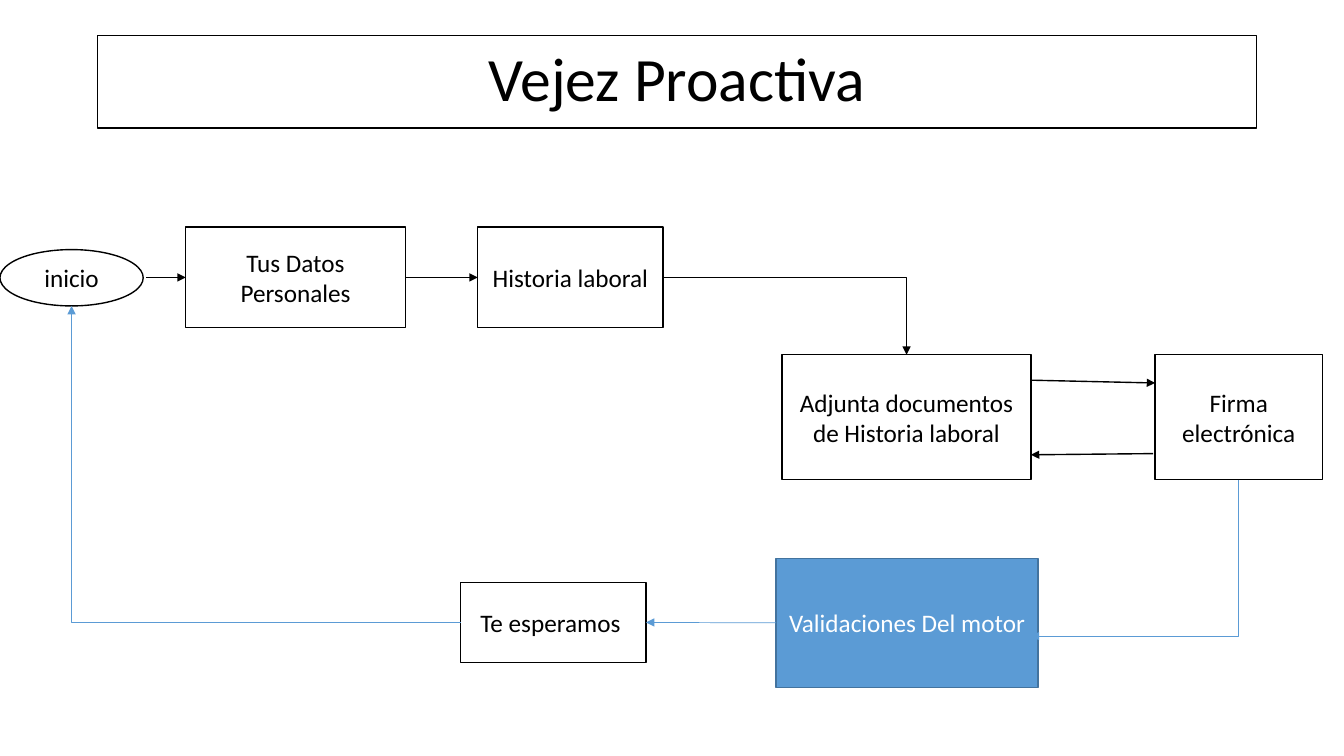
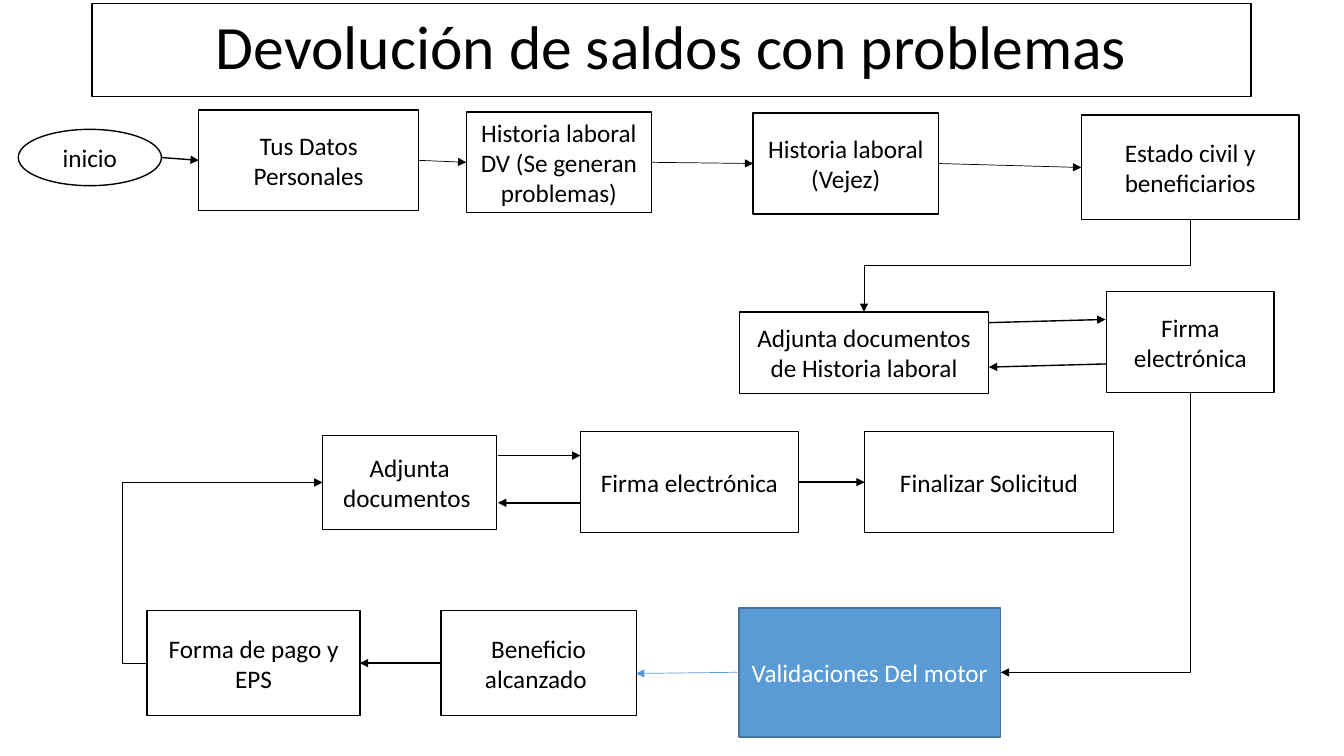
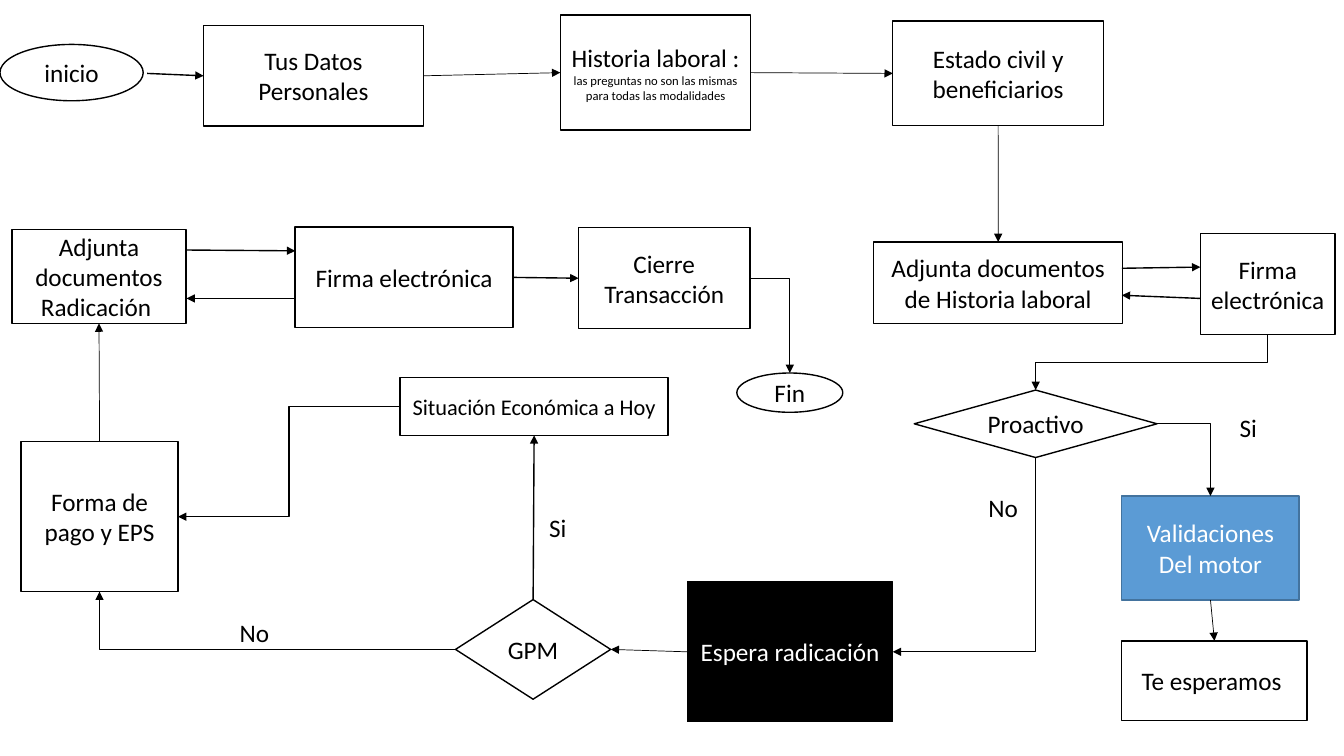
"""Builds three flowcharts of the pension request process."""
import enum

import lxml.etree
import pptx
import pptx.dml.color
import pptx.enum.shapes
import pptx.enum.text
import pptx.oxml.ns
import pptx.util

Cm = pptx.util.Cm
Pt = pptx.util.Pt
RGBColor = pptx.dml.color.RGBColor
Preset = pptx.enum.shapes.MSO_SHAPE
Connector = pptx.enum.shapes.MSO_CONNECTOR
qn = pptx.oxml.ns.qn

BLACK = RGBColor(0x00, 0x00, 0x00)
WHITE = RGBColor(0xFF, 0xFF, 0xFF)
BLUE = RGBColor(0x5B, 0x9B, 0xD5)
DARK_BLUE = RGBColor(0x43, 0x73, 0x9E)
FONT = "Calibri"
THIN = 0.5


class Side(enum.IntEnum):
    TOP = 0
    LEFT = 1
    BOTTOM = 2
    RIGHT = 3


TOP, LEFT, BOTTOM, RIGHT = Side


class Flowchart:
    def __init__(self):
        self.deck = pptx.Presentation()
        self.deck.slide_width = Cm(33.87)
        self.deck.slide_height = Cm(19.05)
        self.page = None

    def new_page(self):
        self.page = self.deck.slides.add_slide(self.deck.slide_layouts[6])

    def add_span(self, para, text, size, color):
        span = para.add_run()
        span.text = text
        span.font.name = FONT
        span.font.size = Pt(size)
        span.font.color.rgb = color

    def box(self, text, left, top, width, height, preset=Preset.RECTANGLE,
            fill=WHITE, line=BLACK, color=BLACK, size=18):
        box = self.page.shapes.add_shape(
            preset, Cm(left), Cm(top), Cm(width), Cm(height))
        box.shadow.inherit = False
        box.fill.solid()
        box.fill.fore_color.rgb = fill
        box.line.color.rgb = line
        box.line.width = Pt(1)
        frame = box.text_frame
        frame.word_wrap = True
        frame.vertical_anchor = pptx.enum.text.MSO_ANCHOR.MIDDLE
        para = frame.paragraphs[0]
        para.alignment = pptx.enum.text.PP_ALIGN.CENTER
        self.add_span(para, text, size, color)
        return box

    def title(self, text, left, top):
        box = self.box(text, left, top, 29.21, 2.34, size=44)
        box.text_frame.paragraphs[0].line_spacing = 0.9

    def start(self, left, top):
        return self.box("inicio", left, top, 3.61, 1.42, Preset.OVAL)

    def personal_data(self, left, top):
        return self.box("Tus Datos Personales", left, top, 5.54, 2.54)

    def work_documents(self, left, top, height=2.06):
        return self.box("Adjunta documentos de Historia laboral",
                        left, top, 6.27, height)

    def signature(self, left, top, width=5.49, height=2.54):
        return self.box("Firma electrónica", left, top, width, height)

    def waiting(self, left, top):
        return self.box("Te esperamos ", left, top, 4.67, 2.01)

    def engine(self, left, top, width=6.6, height=3.25):
        return self.box("Validaciones Del motor", left, top, width, height,
                        fill=BLUE, line=DARK_BLUE, color=WHITE)

    def label(self, text, left, top, width):
        box = self.page.shapes.add_textbox(
            Cm(left), Cm(top), Cm(width), Cm(1.03))
        box.text_frame.word_wrap = False
        self.add_span(box.text_frame.paragraphs[0], text, 18, BLACK)

    def finish(self, connector, color, width):
        connector.line.color.rgb = color
        connector.line.width = Pt(width)
        shape_properties = connector.element.spPr
        outline = shape_properties.find(qn("a:ln"))
        lxml.etree.SubElement(outline, qn("a:tailEnd"), type="triangle")
        lxml.etree.SubElement(shape_properties, qn("a:effectLst"))

    def arrow(self, x1, y1, x2, y2, color=BLACK, width=1):
        connector = self.page.shapes.add_connector(
            Connector.STRAIGHT, Cm(x1), Cm(y1), Cm(x2), Cm(y2))
        self.finish(connector, color, width)

    def site(self, box, side):
        middle = box.left + box.width // 2, box.top + box.height // 2
        return {TOP: (middle[0], box.top),
                LEFT: (box.left, middle[1]),
                BOTTOM: (middle[0], box.top + box.height),
                RIGHT: (box.left + box.width, middle[1])}[side]

    def attach(self, connector, tag, box, side):
        is_oval = box.auto_shape_type == Preset.OVAL
        index = side * 2 if is_oval else int(side)
        holder = connector.element.find(".//" + qn("p:cNvCxnSpPr"))
        lxml.etree.SubElement(holder, qn(tag), id=str(box.shape_id),
                              idx=str(index))

    def link(self, source, leaving, target, entering, bends=0, middle=None,
             color=BLACK, width=THIN, end=None):
        x1, y1 = self.site(source, leaving)
        x2, y2 = end or self.site(target, entering)
        upright = bends and leaving in (TOP, BOTTOM)
        if upright:
            center_x, center_y = (x1 + x2) // 2, (y1 + y2) // 2
            half_x, half_y = (x2 - x1) // 2, (y2 - y1) // 2
            x1, y1 = center_x - half_y, center_y + half_x
            x2, y2 = center_x + half_y, center_y - half_x
        kind = Connector.ELBOW if bends else Connector.STRAIGHT
        connector = self.page.shapes.add_connector(kind, x1, y1, x2, y2)
        if upright:
            connector.element.spPr.find(qn("a:xfrm")).set("rot", "5400000")
        geometry = connector.element.spPr.find(qn("a:prstGeom"))
        if bends == 1:
            geometry.set("prst", "bentConnector2")
        if middle is not None:
            lxml.etree.SubElement(
                geometry.find(qn("a:avLst")), qn("a:gd"), name="adj1",
                fmla=f"val {round(middle * 100000)}")
        self.attach(connector, "a:stCxn", source, leaving)
        if end is None:
            self.attach(connector, "a:endCxn", target, entering)
        self.finish(connector, color, width)

    def chain(self, *boxes, width=THIN):
        for source, target in zip(boxes, boxes[1:]):
            forward = target.left > source.left
            leaving, entering = (RIGHT, LEFT) if forward else (LEFT, RIGHT)
            self.link(source, leaving, target, entering, width=width)


def proactive_page(chart):
    chart.new_page()
    chart.title("Vejez Proactiva", 2.46, 0.89)
    start = chart.start(0, 6.29)
    personal = chart.personal_data(4.68, 5.72)
    history = chart.box("Historia laboral", 12.04, 5.72, 4.67, 2.54)
    documents = chart.work_documents(19.71, 8.94, 3.15)
    signature = chart.signature(29.11, 8.94, 4.22, 3.15)
    waiting = chart.waiting(11.61, 14.68)
    engine = chart.engine(19.56, 14.07)
    chart.arrow(3.68, 6.99, 4.68, 6.99)
    chart.chain(personal, history, width=1)
    chart.arrow(25.98, 9.58, 29.11, 9.65)
    chart.arrow(29.06, 11.43, 25.98, 11.46)
    chart.link(history, RIGHT, documents, TOP, bends=1)
    chart.link(engine, LEFT, waiting, RIGHT, color=BLUE)
    chart.link(signature, BOTTOM, engine, RIGHT, bends=1, color=BLUE,
               end=(Cm(25.98), Cm(16.03)))
    chart.link(waiting, LEFT, start, BOTTOM, bends=1, color=BLUE)


def refund_page(chart):
    chart.new_page()
    chart.title("Devolución de saldos con problemas", 2.32, 0.09)
    start = chart.start(0.46, 3.26)
    personal = chart.personal_data(5.01, 2.77)
    refund_history = chart.box("Historia laboral DV (Se generan problemas)",
                               11.75, 2.82, 4.67, 2.54)
    age_history = chart.box("Historia laboral (Vejez)",
                            18.98, 2.85, 4.67, 2.54)
    family = chart.box("Estado civil y beneficiarios", 27.25, 2.9, 5.49, 2.64)
    work_documents = chart.work_documents(18.64, 7.86)
    first_signature = chart.signature(27.89, 7.35, 4.22)
    engine = chart.engine(18.62, 15.32)
    benefit = chart.box("Beneficio alcanzado ", 11.11, 15.39, 4.93, 2.64)
    payment = chart.box("Forma de pago y EPS", 3.71, 15.39, 5.36, 2.64)
    documents = chart.box("Adjunta documentos ", 8.13, 10.98, 4.39, 2.36)
    signature = chart.signature(14.63, 10.88)
    closing = chart.box("Finalizar Solicitud", 21.79, 10.88, 6.27, 2.54)
    chart.chain(start, personal, width=1)
    chart.chain(personal, refund_history, age_history, family)
    chart.link(family, BOTTOM, work_documents, TOP, bends=2, middle=0.5)
    chart.arrow(24.92, 8.13, 27.86, 8.05)
    chart.arrow(27.89, 9.17, 24.92, 9.25)
    chart.link(first_signature, BOTTOM, engine, RIGHT, bends=1)
    chart.arrow(18.62, 16.94, 16.03, 16.97, BLUE, THIN)
    chart.chain(benefit, payment, width=1)
    chart.link(payment, LEFT, documents, LEFT, bends=2, middle=-0.14)
    chart.arrow(12.55, 11.48, 14.63, 11.48)
    chart.arrow(14.63, 12.67, 12.55, 12.67)
    chart.chain(signature, closing, width=1)


def general_page(chart):
    chart.new_page()
    chart.start(0, 1.12)
    personal = chart.personal_data(5.13, 0.64)
    history = chart.box("Historia laboral : ", 14.12, 0.38, 4.8, 2.9)
    chart.add_span(history.text_frame.paragraphs[0],
                   "las preguntas no son las mismas para todas las modalidades",
                   9, BLACK)
    family = chart.box("Estado civil y beneficiarios", 22.5, 0.53, 5.31, 2.64)
    work_documents = chart.work_documents(22.02, 6.1)
    first_signature = chart.signature(30.25, 5.89, 3.4)
    payment = chart.box("Forma de pago y EPS", 0.53, 11.13, 3.96, 3.78)
    documents = chart.box("Adjunta documentos Radicación ",
                          0.3, 5.79, 4.39, 2.36)
    signature = chart.signature(7.44, 5.72)
    closing = chart.box("Cierre Transacción", 14.58, 5.74, 4.32, 2.54)
    finish = chart.box("Fin", 18.57, 9.4, 2.67, 0.99, Preset.OVAL)
    proactive = chart.box("Proactivo", 23.04, 9.83, 6.12, 1.7, Preset.DIAMOND)
    engine = chart.engine(28.27, 12.5, 4.47, 2.62)
    waiting = chart.waiting(28.27, 16.15)
    filing = chart.box("Espera radicación", 17.32, 14.66, 5.18, 3.53,
                       fill=BLACK, color=WHITE)
    decision = chart.box("GPM", 11.48, 15.11, 3.91, 2.51, Preset.DIAMOND)
    economy = chart.box("Situación Económica a Hoy", 10.08, 9.52, 6.76, 1.45,
                        size=16)
    chart.arrow(3.71, 1.85, 5.13, 1.91)
    chart.chain(personal, history, family)
    chart.link(family, BOTTOM, work_documents, TOP)
    chart.arrow(28.27, 6.76, 30.25, 6.73)
    chart.arrow(30.25, 7.52, 28.27, 7.44)
    chart.link(first_signature, BOTTOM, proactive, TOP, bends=2, middle=0.5)
    chart.link(proactive, RIGHT, engine, TOP, bends=1)
    chart.link(engine, BOTTOM, waiting, TOP)
    chart.link(proactive, BOTTOM, filing, RIGHT, bends=1)
    chart.chain(filing, decision)
    chart.link(decision, TOP, economy, BOTTOM, width=1)
    chart.link(decision, LEFT, payment, BOTTOM, bends=1, width=1)
    chart.link(economy, LEFT, payment, RIGHT, bends=2, middle=0.5, width=1)
    chart.link(payment, TOP, documents, BOTTOM)
    chart.arrow(4.7, 6.3, 7.44, 6.32)
    chart.arrow(7.44, 7.52, 4.7, 7.52)
    chart.chain(signature, closing, width=1)
    chart.link(closing, RIGHT, finish, TOP, bends=1)
    chart.label("Si", 30.99, 10.26, 0.97)
    chart.label("No", 24.66, 12.27, 1.27)
    chart.label("Si", 13.59, 12.78, 0.97)
    chart.label("No", 5.79, 15.44, 1.27)


flowchart = Flowchart()
proactive_page(flowchart)
refund_page(flowchart)
general_page(flowchart)
flowchart.deck.save("out.pptx")
